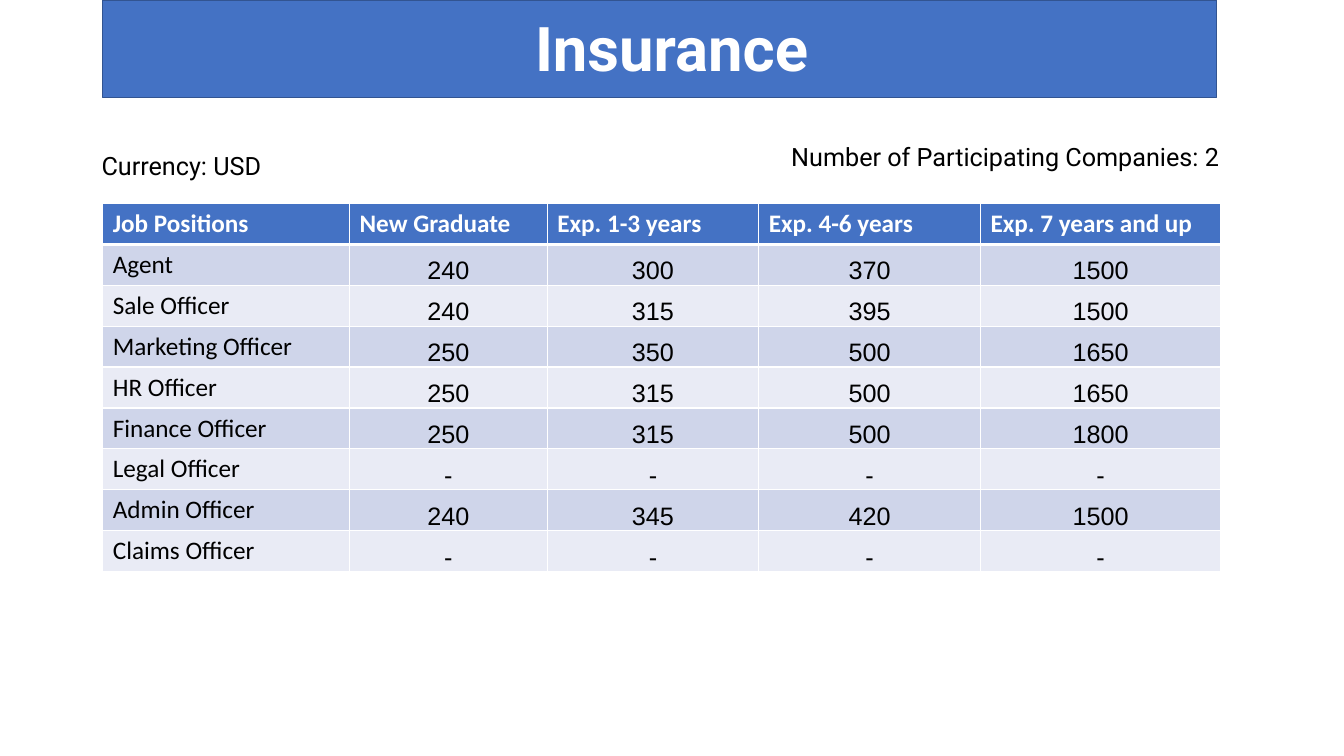
from dataclasses import dataclass

from lxml.etree import SubElement
from pptx import Presentation
from pptx.dml.color import RGBColor
from pptx.enum.shapes import MSO_SHAPE
from pptx.enum.text import MSO_ANCHOR, MSO_AUTO_SIZE, PP_ALIGN
from pptx.oxml.ns import qn
from pptx.slide import Slide
from pptx.table import _Cell
from pptx.text.text import _Paragraph
from pptx.util import Cm, Pt

BLUE = RGBColor(0x44, 0x72, 0xC4)
BLUE_EDGE = RGBColor(0x32, 0x54, 0x91)
BAND_DARK = RGBColor(0xCF, 0xD5, 0xEA)
BAND_LIGHT = RGBColor(0xE9, 0xEB, 0xF5)
WHITE = RGBColor(0xFF, 0xFF, 0xFF)
BLACK = RGBColor(0, 0, 0)

LEFT_EDGE = 2.59
ROW_HEIGHT = 1.03
COLUMN_WIDTHS = (6.22, 4.98, 5.33, 5.59, 6.05)
HEADINGS = ("Job Positions", "New Graduate", "Exp. 1-3 years",
            "Exp. 4-6 years", "Exp. 7 years and up")
SALARIES = (
    ("Agent", "240", "300", "370", "1500"),
    ("Sale Officer", "240", "315", "395", "1500"),
    ("Marketing Officer", "250", "350", "500", "1650"),
    ("HR Officer", "250", "315", "500", "1650"),
    ("Finance Officer", "250", "315", "500", "1800"),
    ("Legal Officer", "-", "-", "-", "-"),
    ("Admin Officer", "240", "345", "420", "1500"),
    ("Claims Officer", "-", "-", "-", "-"),
)


@dataclass(frozen=True)
class TextStyle:
    font: str
    size: int = 18
    color: RGBColor = BLACK
    bold: bool = False


@dataclass(frozen=True)
class Label:
    text: str
    left: float
    top: float
    width: float
    height: float
    style: TextStyle
    wrap: bool = False
    alignment: PP_ALIGN = PP_ALIGN.LEFT


TITLE_STYLE = TextStyle("Roboto", 44, WHITE, True)
NOTE_STYLE = TextStyle("Roboto")
HEADING_STYLE = TextStyle("Calibri", color=WHITE, bold=True)
POSITION_STYLE = TextStyle("Calibri")
SALARY_STYLE = TextStyle("Arial")

LABELS = (
    Label("Insurance", 12.81, 0.13, 8.24, 2.13, TITLE_STYLE,
          wrap=True, alignment=PP_ALIGN.CENTER),
    Label("Currency: USD", 2.31, 3.66, 4.57, 1.02, NOTE_STYLE),
    Label("Number of Participating Companies: 2", 19.69, 3.43, 11.56, 1.02, NOTE_STYLE),
)


def add_span(para: _Paragraph, text: str, style: TextStyle) -> None:
    span = para.add_run()
    span.text = text
    span.font.name = style.font
    span.font.size = Pt(style.size)
    span.font.bold = style.bold
    span.font.color.rgb = style.color


def add_banner(page: Slide) -> None:
    banner = page.shapes.add_shape(
        MSO_SHAPE.RECTANGLE, Cm(LEFT_EDGE), Cm(0), Cm(28.07), Cm(2.46))
    banner.shadow.inherit = False
    banner.fill.solid()
    banner.fill.fore_color.rgb = BLUE
    banner.line.color.rgb = BLUE_EDGE
    banner.line.width = Pt(1)


def add_label(page: Slide, label: Label) -> None:
    box = page.shapes.add_textbox(
        Cm(label.left), Cm(label.top), Cm(label.width), Cm(label.height))
    frame = box.text_frame
    frame.word_wrap = label.wrap
    frame.auto_size = MSO_AUTO_SIZE.SHAPE_TO_FIT_TEXT
    para = frame.paragraphs[0]
    para.alignment = label.alignment
    add_span(para, label.text, label.style)


def set_borders(cell: _Cell, top: int, bottom: int) -> None:
    """Draw white cell borders; must run before the cell is filled."""
    properties = cell._tc.get_or_add_tcPr()
    for side, points in (("L", 1), ("R", 1), ("T", top), ("B", bottom)):
        line = SubElement(properties, qn(f"a:ln{side}"), w=str(Pt(points)))
        fill = SubElement(line, qn("a:solidFill"))
        SubElement(fill, qn("a:srgbClr"), val=str(WHITE))


def fill_cell(cell: _Cell, text: str, row: int, column: int) -> None:
    set_borders(cell, top=3 if row == 1 else 1, bottom=3 if row == 0 else 1)
    cell.fill.solid()
    para = cell.text_frame.paragraphs[0]
    if row == 0:
        cell.fill.fore_color.rgb = BLUE
        add_span(para, text, HEADING_STYLE)
        return
    cell.fill.fore_color.rgb = BAND_DARK if row % 2 else BAND_LIGHT
    if column == 0:
        add_span(para, text, POSITION_STYLE)
        return
    cell.vertical_anchor = MSO_ANCHOR.BOTTOM
    cell.margin_left = cell.margin_right = cell.margin_top = Cm(0.03)
    cell.margin_bottom = Cm(0)
    para.alignment = PP_ALIGN.CENTER
    add_span(para, text, SALARY_STYLE)


def add_salary_table(page: Slide) -> None:
    rows = (HEADINGS, *SALARIES)
    table = page.shapes.add_table(
        len(rows), len(HEADINGS), Cm(LEFT_EDGE), Cm(5.13),
        Cm(sum(COLUMN_WIDTHS)), Cm(ROW_HEIGHT * len(rows))).table
    for column, width in zip(table.columns, COLUMN_WIDTHS):
        column.width = Cm(width)
    for row, texts in enumerate(rows):
        table.rows[row].height = Cm(ROW_HEIGHT)
        for column, text in enumerate(texts):
            fill_cell(table.cell(row, column), text, row, column)


def main() -> None:
    deck = Presentation()
    deck.slide_width = Cm(33.87)
    deck.slide_height = Cm(19.05)
    page = deck.slides.add_slide(deck.slide_layouts[6])
    add_banner(page)
    add_salary_table(page)
    for label in LABELS:
        add_label(page, label)
    deck.save("out.pptx")


if __name__ == "__main__":
    main()
